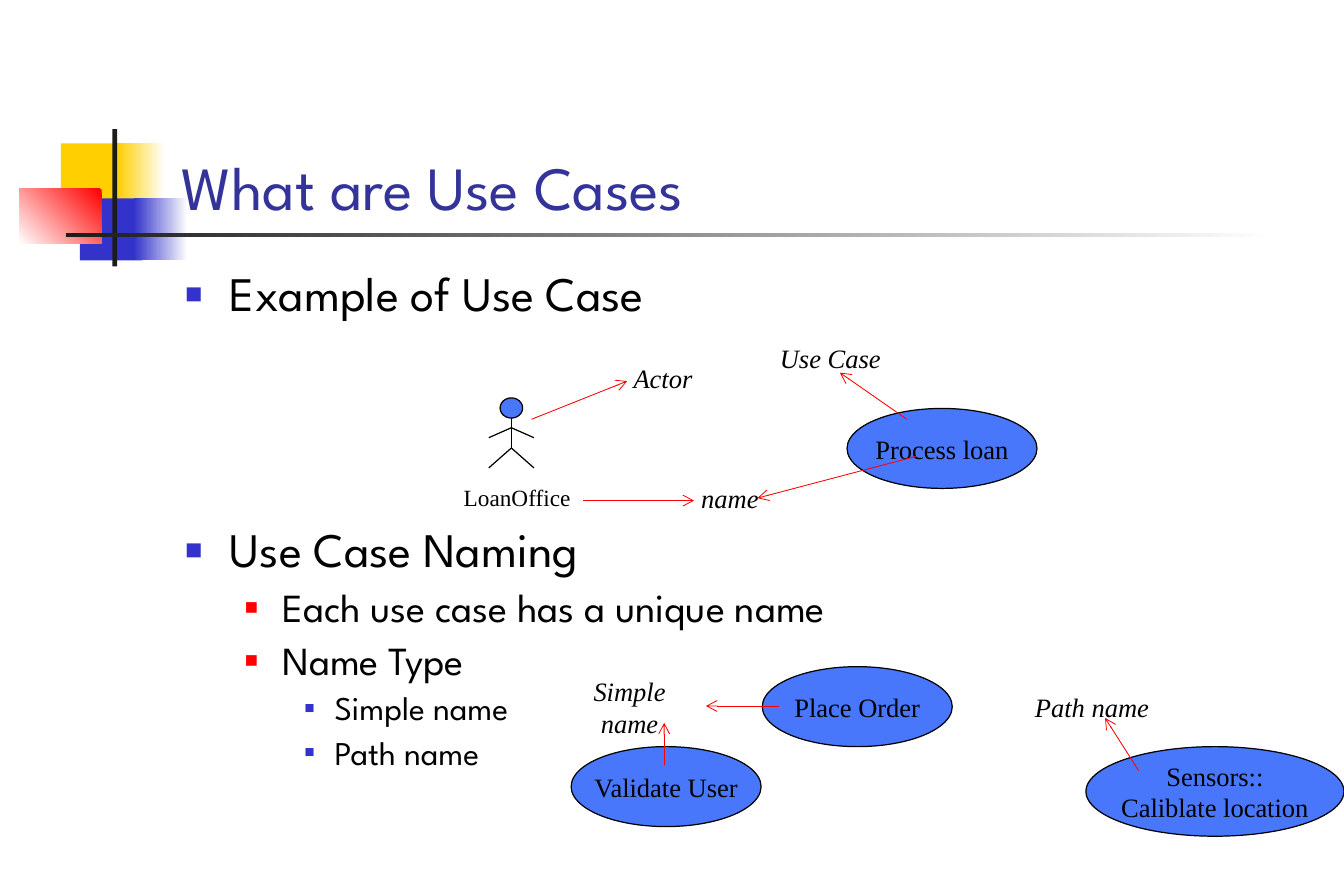
from lxml import etree
from pptx import Presentation
from pptx.dml.color import RGBColor
from pptx.enum import shapes, text
from pptx.oxml import ns
from pptx.util import Pt

BLACK = RGBColor(0x00, 0x00, 0x00)
WHITE = RGBColor(0xFF, 0xFF, 0xFF)
CHARCOAL = RGBColor(0x1C, 0x1C, 0x1C)
YELLOW = RGBColor(0xFF, 0xCF, 0x01)
BLUE = RGBColor(0x33, 0x33, 0xCC)
RED = RGBColor(0xFF, 0x00, 0x00)
TITLE_BLUE = RGBColor(0x33, 0x33, 0x99)
OVAL_BLUE = RGBColor(0x48, 0x77, 0xFC)
HEADING_FONT = "League Spartan"
DIAGRAM_FONT = "Times New Roman"

# level: font size, left margin, hanging indent, space before, bullet colour, bullet percent
LEVELS = [
    (29, 27, 27, 7.3, BLUE, 60),
    (24, 58.5, 22.5, 6, RED, 55),
    (20, 90, 18, 5, BLUE, 50),
]
DIAGRAM_GAP = 123


def place(part, left, top, width, height):
    """Move a placeholder to a position and size in points."""
    part.left, part.top, part.width, part.height = map(Pt, (left, top, width, height))


def format_runs(paragraph, font_name, size, color, italic=False):
    """Give every run of a paragraph the same font."""
    for run in paragraph.runs:
        run.font.name = font_name
        run.font.size = Pt(size)
        run.font.italic = italic
        run.font.color.rgb = color


def add_block(slide, box, color, angle=None, stops=None):
    """Add a borderless decoration block, plain or with a gradient."""
    block = slide.shapes.add_shape(shapes.MSO_SHAPE.RECTANGLE, *map(Pt, box))
    block.shadow.inherit = False
    block.line.fill.background()
    if angle is None:
        block.fill.solid()
        block.fill.fore_color.rgb = color
        return
    block.fill.gradient()
    block.fill.gradient_angle = angle
    for stop, stop_color, position in zip(block.fill.gradient_stops, stops, (0, 1)):
        stop.color.rgb = stop_color
        stop.position = position


def add_decoration(slide):
    """Add the coloured blocks and rules around the title."""
    add_block(slide, (36.7, 86.4, 38.9, 37.4), YELLOW)
    add_block(slide, (70.6, 86.4, 28.8, 37.4), YELLOW, 180, (WHITE, YELLOW))
    add_block(slide, (48.2, 119.5, 37.4, 37.4), BLUE)
    add_block(slide, (80.6, 119.5, 32.4, 37.4), BLUE, 180, (WHITE, BLUE))
    add_block(slide, (11.5, 113.8, 49.7, 33.1), RED, 225, (RED, WHITE))
    add_block(slide, (67.7, 77.8, 2.9, 82.8), CHARCOAL)
    add_block(slide, (39.6, 140.4, 728.6, 2.2), CHARCOAL, 180, (WHITE, CHARCOAL))


def add_title(slide, wording):
    """Fill and format the title placeholder."""
    title = slide.shapes.title
    place(title, 102.2, 48.2, 690.5, 90)
    frame = title.text_frame
    frame.text = wording
    frame.auto_size = text.MSO_AUTO_SIZE.NONE
    frame.vertical_anchor = text.MSO_ANCHOR.BOTTOM
    heading = frame.paragraphs[0]
    heading.alignment = text.PP_ALIGN.LEFT
    format_runs(heading, HEADING_FONT, 37, TITLE_BLUE)


def add_bullet(paragraph, color, percent):
    """Give a paragraph a square bullet."""
    properties = paragraph._p.get_or_add_pPr()
    bullet_color = etree.SubElement(properties, ns.qn("a:buClr"))
    etree.SubElement(bullet_color, ns.qn("a:srgbClr"), val=str(color))
    etree.SubElement(properties, ns.qn("a:buSzPct"), val=str(percent * 1000))
    etree.SubElement(properties, ns.qn("a:buChar"), char="■")


def add_outline(slide, items):
    """Fill the body placeholder with (level, wording, extra gap) items."""
    body = slide.placeholders[1]
    place(body, 104.4, 159.1, 688.3, 324)
    frame = body.text_frame
    frame.text = "\n".join(wording for _, wording, _ in items)
    frame.auto_size = text.MSO_AUTO_SIZE.NONE
    for index, (paragraph, (level, _, gap)) in enumerate(zip(frame.paragraphs, items)):
        size, margin, hanging, before, color, percent = LEVELS[level]
        add_bullet(paragraph, color, percent)
        paragraph.level = level
        paragraph._p.pPr.set("marL", str(Pt(margin)))
        paragraph._p.pPr.set("indent", str(-Pt(hanging)))
        paragraph.line_spacing = 0.9
        paragraph.space_before = Pt(gap or before) if index else Pt(0)
        format_runs(paragraph, HEADING_FONT, size, BLACK)


def write_centred(part, wording, size=16, italic=False):
    """Write unwrapped, centred diagram text into a part."""
    frame = part.text_frame
    frame.text = wording
    frame.word_wrap = False
    frame.vertical_anchor = text.MSO_ANCHOR.MIDDLE
    for paragraph in frame.paragraphs:
        paragraph.alignment = text.PP_ALIGN.CENTER
        format_runs(paragraph, DIAGRAM_FONT, size, BLACK, italic)


def add_oval(owner, left, top, width, height):
    """Add a blue oval with a thin black outline."""
    oval = owner.shapes.add_shape(
        shapes.MSO_SHAPE.OVAL, *map(Pt, (left, top, width, height)))
    oval.shadow.inherit = False
    oval.fill.solid()
    oval.fill.fore_color.rgb = OVAL_BLUE
    oval.line.color.rgb = BLACK
    oval.line.width = Pt(0.75)
    return oval


def add_use_case(slide, wording, left, top, width=114.5, height=48.2):
    """Add a named use case oval."""
    write_centred(add_oval(slide, left, top, width, height), wording)


def add_label(slide, wording, left, top, size=16, italic=True):
    """Add a diagram label."""
    label = slide.shapes.add_textbox(*map(Pt, (left, top, 87.8, 23.8)))
    write_centred(label, wording, size, italic)


def add_line(owner, start, end, color=BLACK, width=0.75):
    """Add a straight line between two points."""
    line = owner.shapes.add_connector(
        shapes.MSO_CONNECTOR.STRAIGHT, *map(Pt, (*start, *end)))
    line.line.color.rgb = color
    line.line.width = Pt(width)
    etree.SubElement(line._element.spPr, ns.qn("a:effectLst"))
    return line


def add_arrow(slide, start, end):
    """Add a thin red arrow with an open head."""
    arrow = add_line(slide, start, end, RED, 0.5)
    etree.SubElement(arrow.line._get_or_add_ln(), ns.qn("a:tailEnd"), type="arrow")


def add_actor(slide, centre, top):
    """Add a stick figure as one group."""
    actor = slide.shapes.add_group_shape()
    add_oval(actor, centre - 6.8, top, 13.6, 12.2)
    hip = top + 30.2
    add_line(actor, (centre, top + 12.2), (centre, hip))
    for joint, drop in ((hip, 12), (top + 18, 6)):
        for reach in (-13.6, 13.6):
            add_line(actor, (centre, joint), (centre + reach, joint + drop))


def main():
    """Build the use case slide and save it."""
    deck = Presentation()
    deck.slide_width, deck.slide_height = Pt(810), Pt(540)
    slide = deck.slides.add_slide(deck.slide_layouts[1])
    add_decoration(slide)
    add_title(slide, "What are Use Cases")
    add_outline(slide, [
        (0, "Example of Use Case", None),
        (0, "Use Case Naming", DIAGRAM_GAP),
        (1, "Each use case has a unique name", None),
        (1, "Name Type", None),
        (2, "Simple name", None),
        (2, "Path name", None),
    ])
    add_use_case(slide, "Place Order", 459.4, 401.8)
    add_use_case(slide, "Validate User", 344.2, 450)
    add_use_case(slide, "Sensors::\nCaliblate location", 654.5, 450, 155.5, 54)
    add_use_case(slide, "Process loan", 510.5, 246.2)
    add_actor(slide, 308.2, 239.8)
    add_label(slide, "LoanOffice", 267.8, 288, 14, False)
    for wording, left, top in (
        ("Simple name", 335.5, 414), ("Path name", 614.2, 414), ("name", 396, 288),
        ("Actor", 355.7, 216), ("Use Case", 456.5, 203.8),
    ):
        add_label(slide, wording, left, top)
    for start, end in (
        ((400.3, 460.8), (400.3, 435.6)), ((469.4, 425.5), (425.5, 425.5)),
        ((686.2, 464.4), (666, 432.7)), ((320.4, 252.7), (378, 229.7)),
        ((546.5, 252.7), (506.2, 224.6)), ((351.4, 301.7), (418.3, 301.7)),
        ((552.2, 275), (456.5, 300.2)),
    ):
        add_arrow(slide, start, end)
    deck.save("out.pptx")


if __name__ == "__main__":
    main()
